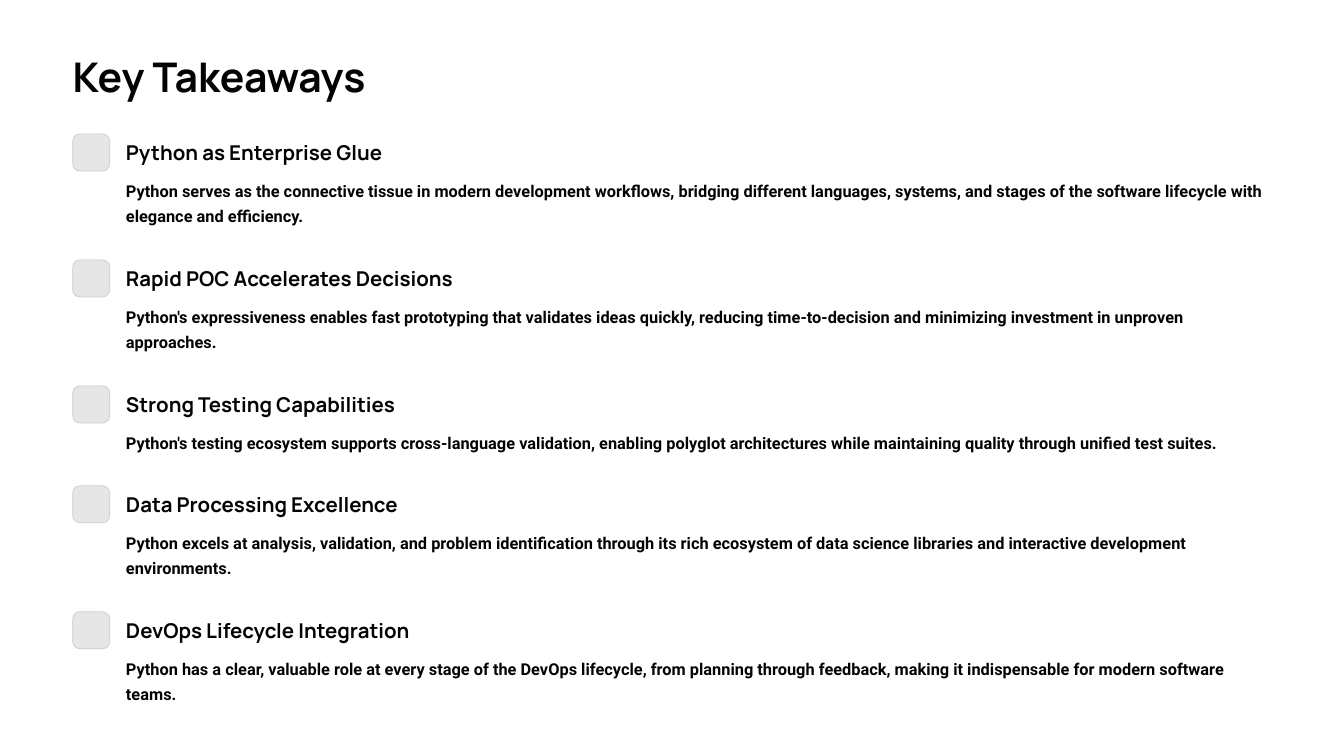
import pptx
import pptx.dml.color
import pptx.enum.shapes
import pptx.util
from pptx.util import Cm, Pt

TITLE = "Key Takeaways"

# heading, heading width in cm, body, number of body lines
TAKEAWAYS = [
    ("Python as Enterprise Glue", 7.95,
     "Python serves as the connective tissue in modern development workflows, bridging different "
     "languages, systems, and stages of the software lifecycle with elegance and efficiency.", 2),
    ("Rapid POC Accelerates Decisions", 10.1,
     "Python's expressiveness enables fast prototyping that validates ideas quickly, reducing "
     "time-to-decision and minimizing investment in unproven approaches.", 2),
    ("Strong Testing Capabilities", 8.3,
     "Python's testing ecosystem supports cross-language validation, enabling polyglot "
     "architectures while maintaining quality through unified test suites.", 1),
    ("Data Processing Excellence", 8.45,
     "Python excels at analysis, validation, and problem identification through its rich "
     "ecosystem of data science libraries and interactive development environments.", 2),
    ("DevOps Lifecycle Integration", 8.9,
     "Python has a clear, valuable role at every stage of the DevOps lifecycle, from planning "
     "through feedback, making it indispensable for modern software teams.", 2),
]

COLORS = {"page": "FFFFFF", "text": "030303", "marker": "E6E6E6", "outline": "CCCCCC"}

# font, size and line spacing in points
STYLES = {
    "title": ("Manrope", 35, 43.5),
    "heading": ("Manrope", 17.5, 21.5),
    "body": ("Roboto", 14, 22),
}

# lengths in cm
MARGIN_LEFT = 2.2
TEXT_LEFT = 3.81
BODY_WIDTH = 34.62
FIRST_TOP = 4.05
MARKER_SIZE = 1.12
HEADING_OFFSET = 0.16
HEADING_HEIGHT = 0.76
BODY_OFFSET = 1.24
LINE_HEIGHT = 0.79
ITEM_GAP = 0.99


def color(name):
    return pptx.dml.color.RGBColor.from_string(COLORS[name])


def add_text(slide, text, style, left, top, width, height, wrap=False):
    font_name, size, spacing = STYLES[style]
    box = slide.shapes.add_textbox(Cm(left), Cm(top), Cm(width), Cm(height))
    frame = box.text_frame
    frame.margin_left = frame.margin_right = frame.margin_top = frame.margin_bottom = 0
    frame.word_wrap = wrap
    frame.text = text
    para = frame.paragraphs[0]
    para.line_spacing = Pt(spacing)
    font = para.runs[0].font
    font.name = font_name
    font.size = Pt(size)
    font.bold = True
    font.color.rgb = color("text")


def add_marker(slide, top):
    marker = slide.shapes.add_shape(
        pptx.enum.shapes.MSO_SHAPE.ROUNDED_RECTANGLE,
        Cm(MARGIN_LEFT), Cm(top), Cm(MARKER_SIZE), Cm(MARKER_SIZE))
    marker.adjustments[0] = 0.19
    marker.shadow.inherit = False
    marker.fill.solid()
    marker.fill.fore_color.rgb = color("marker")
    marker.line.color.rgb = color("outline")
    marker.line.width = Pt(0.6)


def main():
    deck = pptx.Presentation()
    deck.slide_width, deck.slide_height = Cm(40.64), Cm(22.86)
    slide = deck.slides.add_slide(deck.slide_layouts[6])
    slide.background.fill.solid()
    slide.background.fill.fore_color.rgb = color("page")

    add_text(slide, TITLE, "title", MARGIN_LEFT, 1.52, 12.37, 1.55)

    top = FIRST_TOP
    for heading, heading_width, body, lines in TAKEAWAYS:
        body_height = lines * LINE_HEIGHT
        add_marker(slide, top)
        add_text(slide, heading, "heading", TEXT_LEFT, top + HEADING_OFFSET,
                 heading_width, HEADING_HEIGHT)
        add_text(slide, body, "body", TEXT_LEFT, top + BODY_OFFSET,
                 BODY_WIDTH, body_height, wrap=lines > 1)
        top += BODY_OFFSET + body_height + ITEM_GAP

    deck.save("out.pptx")


if __name__ == "__main__":
    main()
